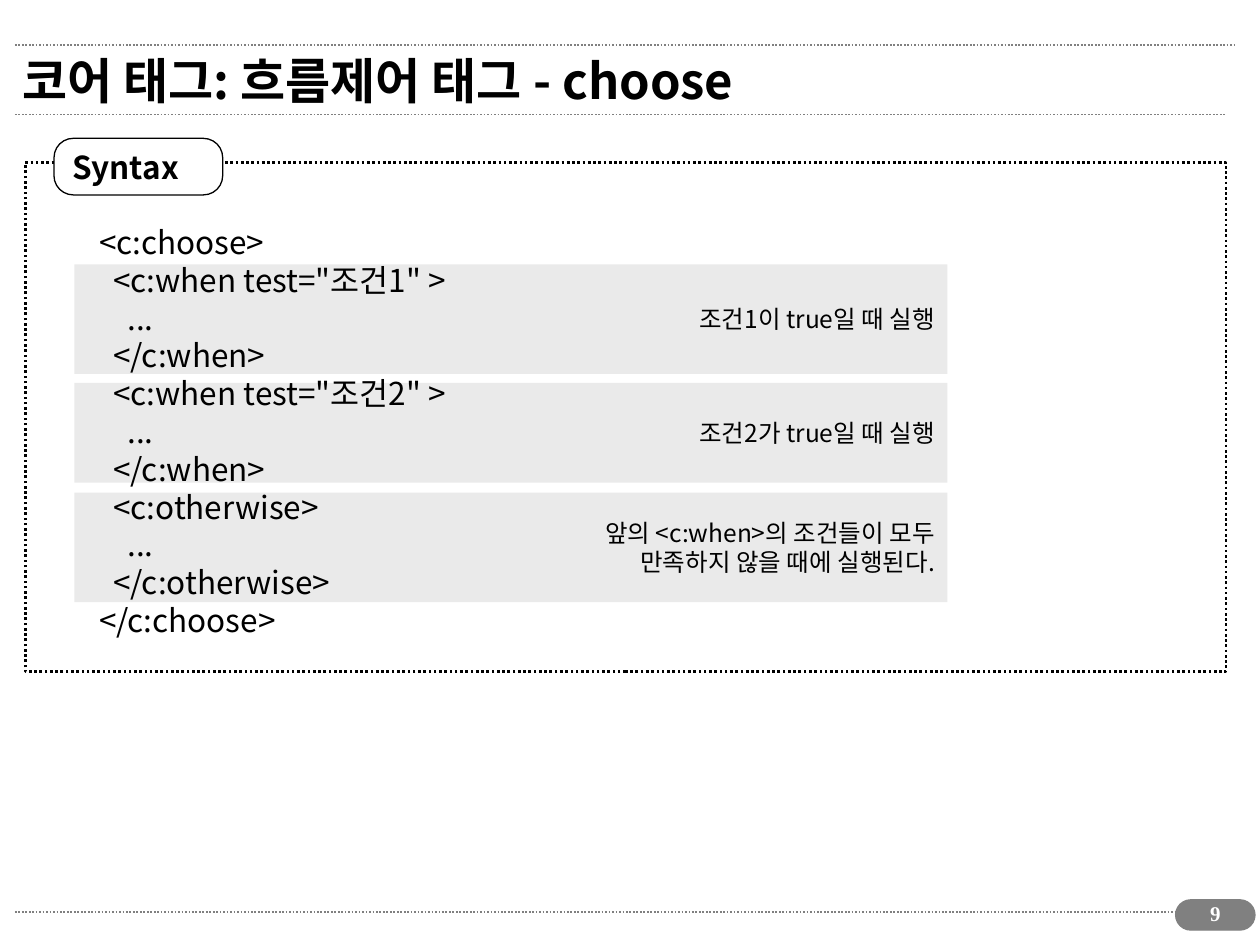
import pptx
import pptx.util
import pptx.dml.color
import pptx.enum.dml
import pptx.enum.shapes
import pptx.enum.text
import pptx.oxml.ns
from lxml import etree

Cm = pptx.util.Cm
Pt = pptx.util.Pt
ALIGN = pptx.enum.text.PP_ALIGN
ANCHOR = pptx.enum.text.MSO_ANCHOR
SHAPE = pptx.enum.shapes.MSO_SHAPE
DASH = pptx.enum.dml.MSO_LINE.ROUND_DOT
COLORS = {"ink": "000000", "rule": "808080", "band": "EAEAEA", "paper": "FFFFFF"}
KOREAN = "Noto Sans CJK KR"

SYNTAX = """<c:choose>
  <c:when test="조건1" >
    ...
  </c:when>
  <c:when test="조건2" >
    ...
  </c:when>
  <c:otherwise>
    ...
  </c:otherwise>
</c:choose>"""

BRANCHES = [
    (5.33, 2.21, "조건1이 true일 때 실행"),
    (7.72, 2.01, "조건2가 true일 때 실행"),
    (9.93, 2.21, "앞의 <c:when>의 조건들이 모두\n만족하지 않을 때에 실행된다."),
]


class SlideBuilder:
    """Holds the slide and draws its elements in one shared style."""

    def __init__(self, slide):
        self.slide = slide

    def color(self, name):
        return pptx.dml.color.RGBColor.from_string(COLORS[name])

    def set_text(self, shape, text, size, color="ink", bold=False, align=ALIGN.LEFT,
                 anchor=ANCHOR.MIDDLE, font=KOREAN, spacing=None):
        frame = shape.text_frame
        frame.text = text
        frame.word_wrap = True
        frame.auto_size = pptx.enum.text.MSO_AUTO_SIZE.NONE
        frame.vertical_anchor = anchor
        for paragraph in frame.paragraphs:
            paragraph.alignment = align
            if spacing:
                paragraph.line_spacing = Pt(spacing)
            for run in paragraph.runs:
                run.font.size = Pt(size)
                run.font.bold = bold
                run.font.name = font
                run.font.color.rgb = self.color(color)
                east_asian = etree.SubElement(run.font._element, pptx.oxml.ns.qn("a:ea"))
                east_asian.set("typeface", font)

    def title(self, text, left, top, width, height):
        shape = self.slide.shapes.title
        shape.left, shape.top, shape.width, shape.height = map(Cm, (left, top, width, height))
        self.set_text(shape, text, 28, bold=True)

    def rule(self, left, right, y):
        line = self.slide.shapes.add_connector(
            pptx.enum.shapes.MSO_CONNECTOR.STRAIGHT, Cm(left), Cm(y), Cm(right), Cm(y))
        line.line.color.rgb = self.color("rule")
        line.line.width = Pt(1)
        line.line.dash_style = DASH
        etree.SubElement(line._element.spPr, pptx.oxml.ns.qn("a:effectLst"))

    def box(self, left, top, width, height, fill=None, line=None, weight=0.75,
            corner=None, dotted=False):
        kind = SHAPE.RECTANGLE if corner is None else SHAPE.ROUNDED_RECTANGLE
        shape = self.slide.shapes.add_shape(kind, Cm(left), Cm(top), Cm(width), Cm(height))
        shape.shadow.inherit = False
        if corner is not None:
            shape.adjustments[0] = corner
        if fill:
            shape.fill.solid()
            shape.fill.fore_color.rgb = self.color(fill)
        else:
            shape.fill.background()
        if line:
            shape.line.color.rgb = self.color(line)
            shape.line.width = Pt(weight)
            if dotted:
                shape.line.dash_style = DASH
        else:
            shape.line.fill.background()
        return shape

    def label(self, text, left, top, width, height, size, **style):
        shape = self.slide.shapes.add_textbox(Cm(left), Cm(top), Cm(width), Cm(height))
        self.set_text(shape, text, size, anchor=ANCHOR.TOP, **style)


def main():
    presentation = pptx.Presentation()
    presentation.slide_width = Cm(25.4)
    presentation.slide_height = Cm(19.05)
    builder = SlideBuilder(presentation.slides.add_slide(presentation.slide_layouts[5]))

    for right, y in [(24.71, 18.39), (24.69, 2.31), (24.89, 0.91)]:
        builder.rule(0.3, right, y)
    builder.title("코어 태그: 흐름제어 태그 - choose", 0.2, 0.71, 23.11, 1.8)

    for top, height, note in BRANCHES:
        band = builder.box(1.5, top, 17.6, height, fill="band")
        builder.set_text(band, note, 14, align=ALIGN.RIGHT, spacing=16.5)

    builder.box(0.51, 3.28, 24.21, 10.26, line="ink", weight=1.5, dotted=True)
    heading = builder.box(1.09, 2.79, 3.4, 1.14, fill="paper", line="ink", corner=0.34)
    builder.set_text(heading, "Syntax", 18, bold=True)
    builder.label(SYNTAX, 1.75, 4.37, 8, 8.64, 18, spacing=21.6)

    builder.box(23.7, 18.14, 1.6, 0.61, fill="rule", line="rule", corner=0.5)
    builder.label("9", 23.8, 18.03, 1.4, 0.86, 12, color="paper", bold=True,
                  align=ALIGN.CENTER, font="Times New Roman")
    presentation.save("out.pptx")


if __name__ == "__main__":
    main()
